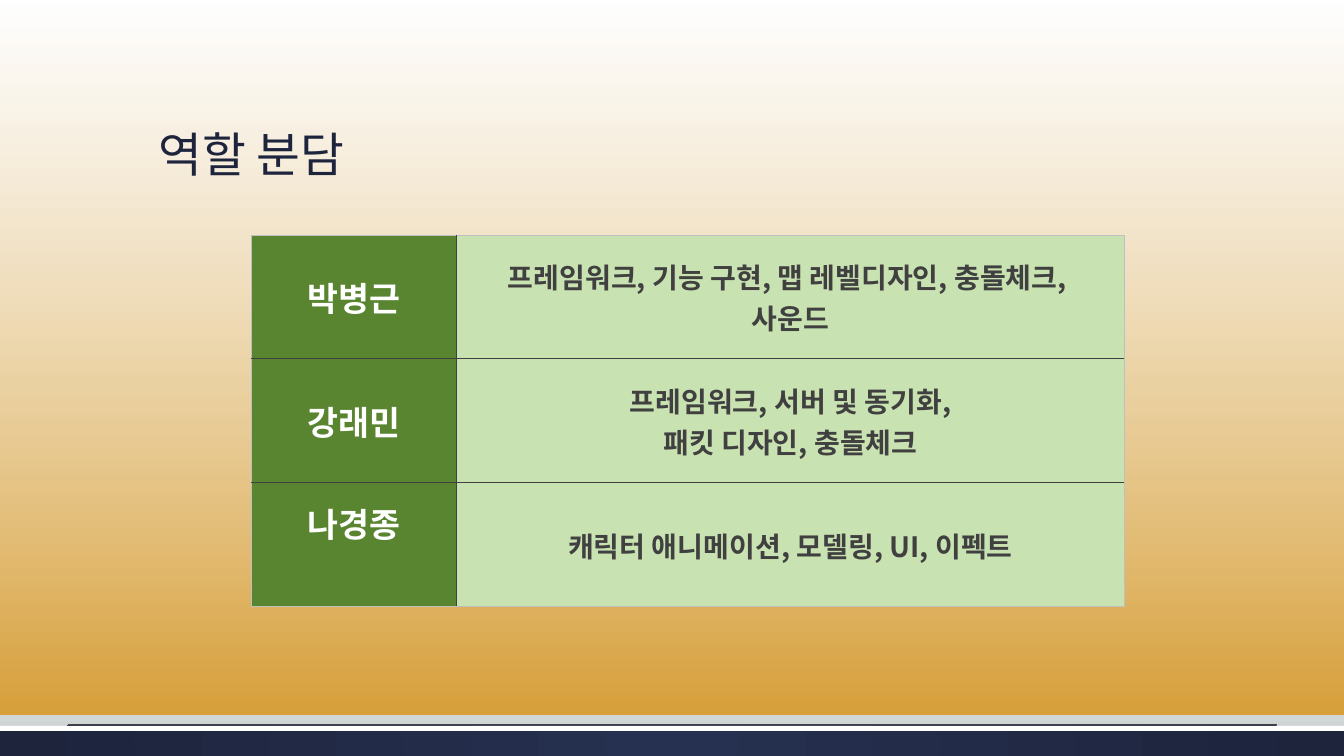
"""Build the role assignment slide with its three-member table."""
from dataclasses import dataclass

from lxml import etree
from pptx import Presentation
from pptx.dml.color import RGBColor
from pptx.enum.shapes import MSO_CONNECTOR, MSO_SHAPE
from pptx.enum.text import MSO_ANCHOR, PP_ALIGN
from pptx.oxml import parse_xml
from pptx.oxml.ns import qn
from pptx.util import Inches, Pt

RECTANGLE = MSO_SHAPE.RECTANGLE
STRAIGHT = MSO_CONNECTOR.STRAIGHT
MIDDLE, BOTTOM = MSO_ANCHOR.MIDDLE, MSO_ANCHOR.BOTTOM
LEFT, CENTER = PP_ALIGN.LEFT, PP_ALIGN.CENTER
DRAWING_NS = "http://schemas.openxmlformats.org/drawingml/2006/main"


@dataclass(frozen=True)
class Theme:
    font: str = "Noto Sans CJK KR"
    navy: str = "1D243C"
    white: str = "FFFFFF"
    ink: str = "404040"
    edge: str = "BFBFBF"
    name_fill: str = "598531"
    role_fill: str = "C9E2B1"
    title_size: int = 34
    name_size: int = 24
    role_size: int = 20
    page: tuple = ((0, "FFFFFF", 100), (72, "E5E8E8", 100), (100, "CDD2D2", 100))
    glow: tuple = ((0, "FFFFFF", 51), (100, "DA8C00", 73))
    footer: tuple = ((0, "263050", 100), (100, "1D243C", 100))


theme = Theme()
DOWNWARD = '<a:lin ang="5400000" scaled="0"/>'
RADIAL = ('<a:path path="circle"><a:fillToRect l="50000" t="50000" '
          'r="50000" b="50000"/></a:path>')


def set_gradient(fill, owner, stops, direction):
    fill.gradient()
    stop_xml = "".join(
        f'<a:gs pos="{position * 1000}"><a:srgbClr val="{color}">'
        f'<a:alpha val="{alpha * 1000}"/></a:srgbClr></a:gs>'
        for position, color, alpha in stops)
    gradient = next(owner.iter(qn("a:gradFill")))
    gradient.getparent().replace(gradient, parse_xml(
        f'<a:gradFill xmlns:a="{DRAWING_NS}" rotWithShape="1">'
        f'<a:gsLst>{stop_xml}</a:gsLst>{direction}</a:gradFill>'))


def write_lines(frame, lines, align, size, color, **formats):
    for index, line in enumerate(lines):
        paragraph = frame.add_paragraph() if index else frame.paragraphs[0]
        paragraph.alignment = align
        run = paragraph.add_run()
        run.text = line
        values = {"name": theme.font, "size": Pt(size), **formats}
        for attribute, value in values.items():
            setattr(run.font, attribute, value)
        run.font.color.rgb = RGBColor.from_string(color)
        east_asian = etree.SubElement(run.font._element, qn("a:ea"))
        east_asian.set("typeface", theme.font)


deck = Presentation()
deck.slide_width, deck.slide_height = Inches(13.33), Inches(7.5)
slide = deck.slides.add_slide(deck.slide_layouts[5])
shapes = slide.shapes
set_gradient(slide.background.fill, slide.element, theme.page, DOWNWARD)

for top, width, height, stops, direction in (
        (7.2, 13.33, 0.3, theme.footer, RADIAL),
        (7.2, 13.33, 0.05, None, None),
        (0, 13.37, 7.09, theme.glow, DOWNWARD)):
    band = shapes.add_shape(RECTANGLE, 0, Inches(top), Inches(width), Inches(height))
    band.shadow.inherit = False
    band.line.fill.background()
    if stops:
        set_gradient(band.fill, band._element.spPr, stops, direction)
    else:
        band.fill.solid()
        band.fill.fore_color.rgb = RGBColor.from_string(theme.white)

footer_rule = shapes.add_connector(
    STRAIGHT, Inches(0.67), Inches(7.19), Inches(12.67), Inches(7.19))
footer_rule.line.width = Pt(0.75)
footer_rule.line.color.rgb = RGBColor.from_string(theme.ink)
etree.SubElement(footer_rule._element.spPr, qn("a:effectLst"))

title = shapes.title
shapes._spTree.append(title._element)
title.left, title.top = Inches(1.47), Inches(0.51)
title.width, title.height = Inches(10.4), Inches(1.35)
title.text_frame.vertical_anchor = BOTTOM
write_lines(title.text_frame, ["역할 분담"], LEFT, theme.title_size, theme.navy)
title.text_frame.paragraphs[0].line_spacing = 0.9

assignments = (
    ("박병근", ["프레임워크, 기능 구현, 맵 레벨디자인, 충돌체크, ", "사운드"]),
    ("강래민", ["프레임워크, 서버 및 동기화,", "패킷 디자인, 충돌체크"]),
    ("나경종", ["캐릭터 애니메이션, 모델링, UI, 이펙트"]),
)
last_row = len(assignments) - 1
roles = shapes.add_table(len(assignments), 2, Inches(2.49), Inches(2.33),
                         Inches(8.66), Inches(3.69)).table
roles.first_row = roles.horz_banding = False
for column, width in zip(roles.columns, (2.04, 6.62)):
    column.width = Inches(width)

for row, (member, duties) in enumerate(assignments):
    roles.rows[row].height = Inches(1.23)
    for column, (lines, size, color, fill) in enumerate((
            ([member], theme.name_size, theme.white, theme.name_fill),
            (duties, theme.role_size, theme.ink, theme.role_fill))):
        cell = roles.cell(row, column)
        cell.vertical_anchor = MIDDLE
        write_lines(cell.text_frame, lines, CENTER, size, color, bold=True)
        outer_sides = {"lnL": column == 0, "lnR": column == 1,
                       "lnT": row == 0, "lnB": row == last_row}
        for side, is_outer in outer_sides.items():
            border_color = theme.edge if is_outer else theme.ink
            border_width = Pt(0.5) if is_outer else Pt(1)
            cell._tc.get_or_add_tcPr().append(parse_xml(
                f'<a:{side} xmlns:a="{DRAWING_NS}" w="{border_width}"><a:solidFill>'
                f'<a:srgbClr val="{border_color}"/></a:solidFill></a:{side}>'))
        cell.fill.solid()
        cell.fill.fore_color.rgb = RGBColor.from_string(fill)
roles.cell(last_row, 0).margin_bottom = Inches(0.49)

deck.save("out.pptx")
